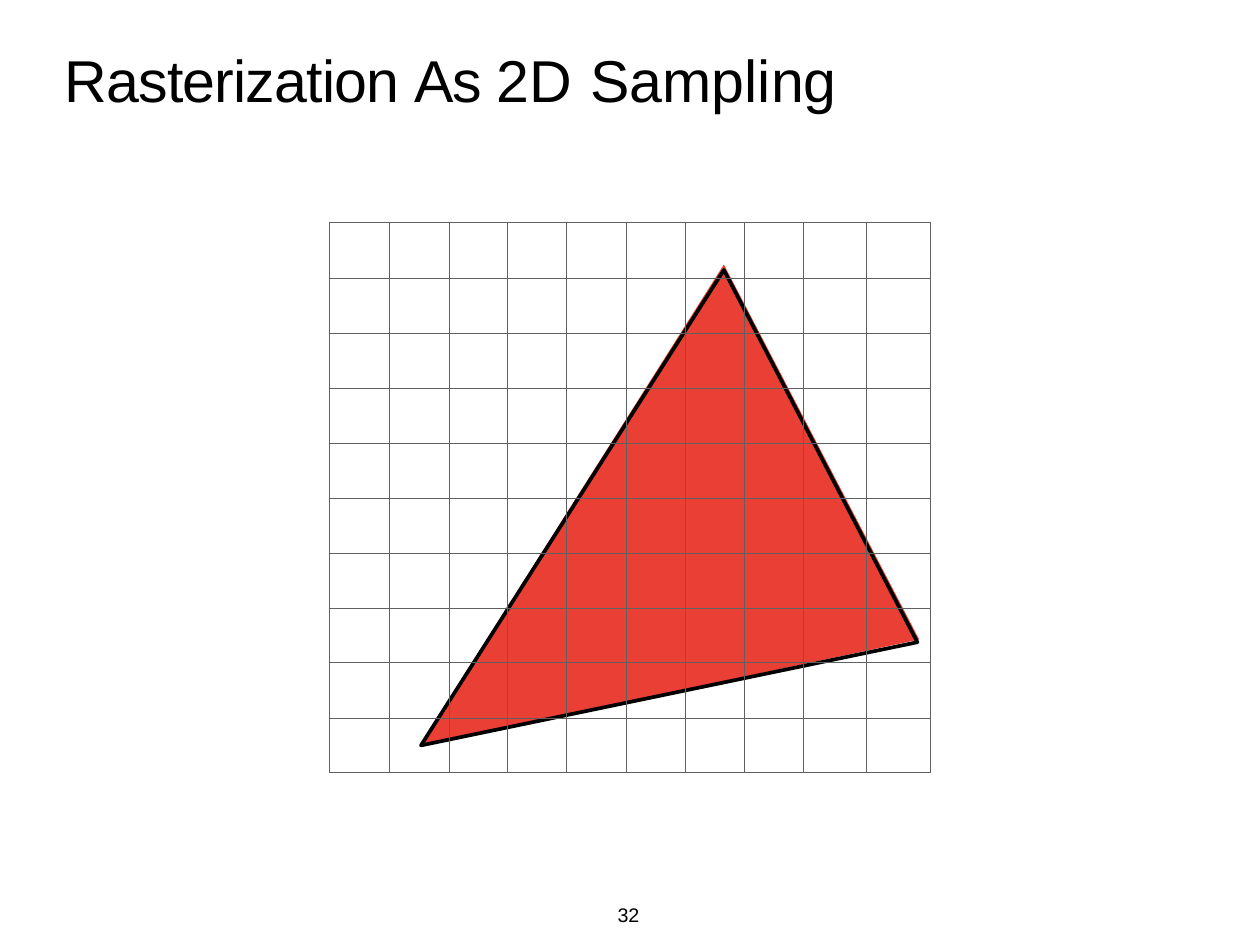
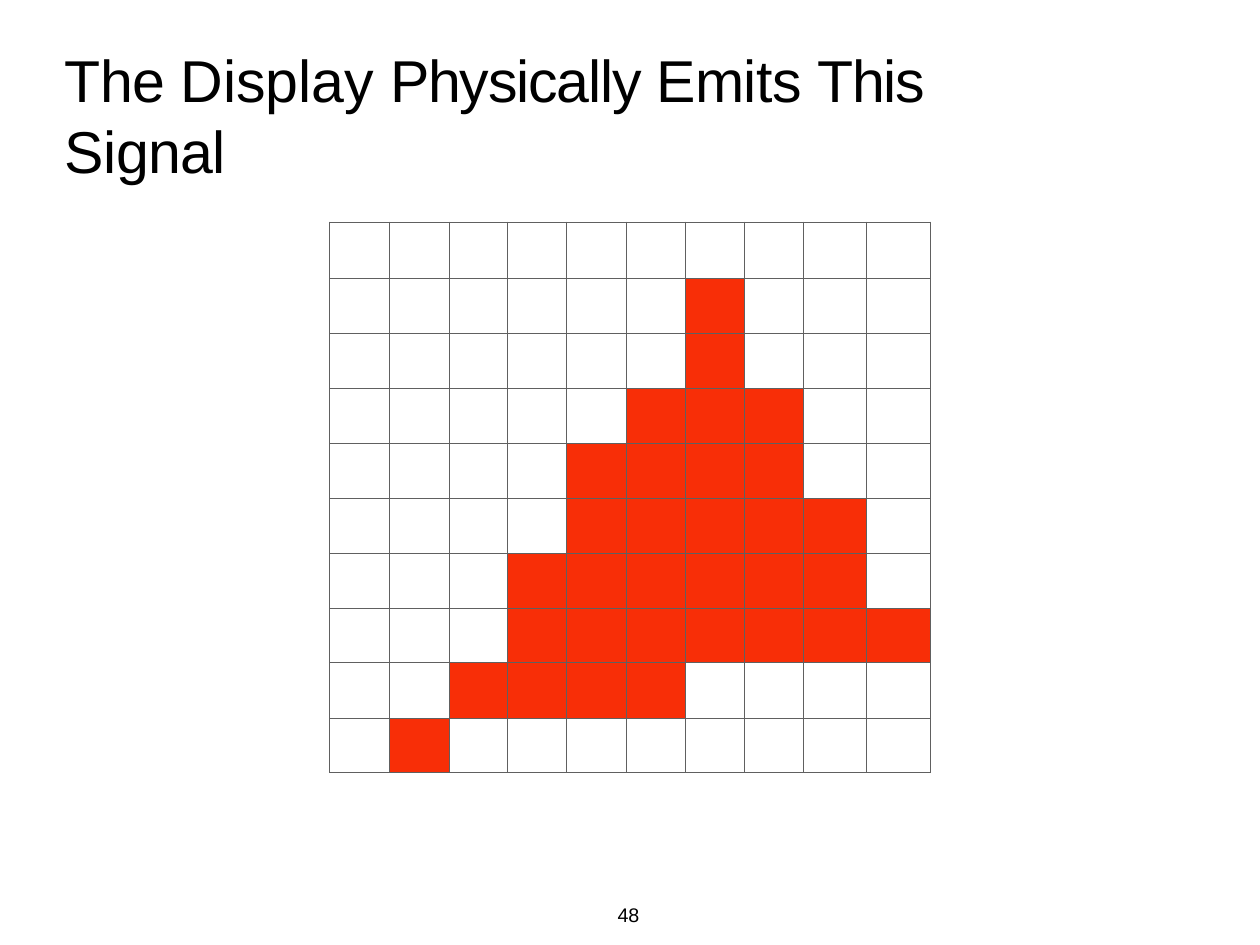
"""Build two slides on rasterization: a triangle on a pixel grid and the pixels it lights."""

from dataclasses import dataclass
from typing import Any, NamedTuple

import lxml.etree
import pptx
import pptx.dml.color
import pptx.enum.text
import pptx.oxml.ns
import pptx.util

SLIDE_WIDTH = pptx.util.Inches(14.22)
SLIDE_HEIGHT = pptx.util.Inches(10.67)


class Point(NamedTuple):
    """A place on the pixel grid, in columns and rows."""

    column: float
    row: float


class Box(NamedTuple):
    """A frame, in percent of the slide's size."""

    left: float
    top: float
    width: float
    height: float


class Word(NamedTuple):
    """A piece of text and its letter spacing in points."""

    text: str
    spacing: float


class Span(NamedTuple):
    """A run of lit pixels in one grid row, both ends included."""

    row: int
    first: int
    last: int


@dataclass(frozen=True)
class Theme:
    """Colours and type sizes of the deck."""

    font: str = "Arial"
    ink: str = "000000"
    grid_line: str = "606060"
    triangle: str = "E93F34"
    pixel: str = "F82E07"
    title_size: float = 48
    number_size: float = 16
    grid_weight: float = 1
    outline_weight: float = 3


@dataclass(frozen=True)
class PixelGrid:
    """Origin and pitch in percent of the slide, column and row sizes in pitches."""

    left: float = 26.16
    top: float = 23.52
    column_pitch: float = 4.77
    row_pitch: float = 5.81
    columns: tuple[float, ...] = (1, 0.99, 0.97, 0.99, 0.99, 0.99, 0.97, 0.99, 1.05, 1.06)
    rows: tuple[float, ...] = (1.03, 1, 1, 1, 1, 1, 1, 1, 1.01, 0.98)


@dataclass(frozen=True)
class Page:
    """The content of one slide."""

    title: tuple[Word, ...]
    title_width: float
    number: str
    has_triangle: bool = False
    lit: tuple[Span, ...] = ()


THEME = Theme()
GRID = PixelGrid()
NUMBER_BOX = Box(47.61, 95.31, 3.45, 2.81)
TRIANGLE_AREA = (Point(6.56, 0.77), Point(1.5, 9.53), Point(9.81, 7.6))
TRIANGLE_OUTLINE = (Point(6.56, 0.87), Point(9.78, 7.65), Point(1.52, 9.53))

PAGES = (
    Page(
        title=(
            Word("Rasterization ", -0.7),
            Word("As ", -1.4),
            Word("2D ", 0.4),
            Word("Sampling", 0.1),
        ),
        title_width=61.6,
        number="32",
        has_triangle=True,
    ),
    Page(
        title=(
            Word("The ", -0.6),
            Word("Display ", -0.1),
            Word("Physically ", -1),
            Word("Emits ", -0.6),
            Word("This ", -1.1),
            Word("Signal", -0.5),
        ),
        title_width=80.87,
        number="48",
        lit=(
            Span(1, 6, 6),
            Span(2, 6, 6),
            Span(3, 5, 7),
            Span(4, 4, 7),
            Span(5, 4, 8),
            Span(6, 3, 8),
            Span(7, 3, 9),
            Span(8, 2, 5),
            Span(9, 1, 1),
        ),
    ),
)


def across(percent: float) -> int:
    """Turn a percentage of the slide's width into a length."""
    return round(SLIDE_WIDTH * percent / 100)


def down(percent: float) -> int:
    """Turn a percentage of the slide's height into a length."""
    return round(SLIDE_HEIGHT * percent / 100)


def colour(value: str) -> pptx.dml.color.RGBColor:
    """Turn a hex value into a colour."""
    return pptx.dml.color.RGBColor.from_string(value)


def apply_format(target: Any, values: dict[str, Any]) -> None:
    """Set each named attribute on the target."""
    for attribute, value in values.items():
        setattr(target, attribute, value)


def place(box: Box) -> dict[str, int]:
    """Give a frame as position and size attributes."""
    return {
        "left": across(box.left),
        "top": down(box.top),
        "width": across(box.width),
        "height": down(box.height),
    }


def write_words(holder: Any, words: tuple[Word, ...], size: float, indent: float) -> None:
    """Fill a text holder with one left-aligned line of spaced words."""
    frame = holder.text_frame
    apply_format(frame, {
        "margin_left": 0,
        "margin_top": pptx.util.Inches(0.02),
        "margin_right": 0,
        "margin_bottom": 0,
        "word_wrap": True,
        "vertical_anchor": pptx.enum.text.MSO_ANCHOR.TOP,
        "auto_size": pptx.enum.text.MSO_AUTO_SIZE.SHAPE_TO_FIT_TEXT,
    })
    line = frame.paragraphs[0]
    line.alignment = pptx.enum.text.PP_ALIGN.LEFT
    line._p.get_or_add_pPr().set("marL", str(across(indent)))
    for word in words:
        run = line.add_run()
        run.text = word.text
        apply_format(run.font, {"name": THEME.font, "size": pptx.util.Pt(size)})
        run.font.color.rgb = colour(THEME.ink)
        run._r.get_or_add_rPr().set("spc", str(round(word.spacing * 100)))


def add_outline(shapes: Any, corners: tuple[Point, ...]) -> Any:
    """Draw a closed outline through grid points."""
    places = [
        (
            across(GRID.left + corner.column * GRID.column_pitch),
            down(GRID.top + corner.row * GRID.row_pitch),
        )
        for corner in corners
    ]
    builder = shapes.build_freeform(*places[0])
    builder.add_line_segments(places[1:], close=True)
    outline = builder.convert_to_shape()
    outline.shadow.inherit = False
    return outline


def add_triangle(slide: Any) -> None:
    """Draw the filled triangle and its heavy edge as one group."""
    shapes = slide.shapes.add_group_shape().shapes
    area = add_outline(shapes, TRIANGLE_AREA)
    area.fill.solid()
    area.fill.fore_color.rgb = colour(THEME.triangle)
    area.line.fill.background()
    edge = add_outline(shapes, TRIANGLE_OUTLINE)
    edge.fill.background()
    edge.line.color.rgb = colour(THEME.ink)
    edge.line.width = pptx.util.Pt(THEME.outline_weight)


def add_borders(cell: Any) -> None:
    """Rule all four sides of a cell."""
    properties = cell._tc.get_or_add_tcPr()
    qn = pptx.oxml.ns.qn
    for side in ("a:lnL", "a:lnR", "a:lnT", "a:lnB"):
        rule = lxml.etree.SubElement(properties, qn(side))
        rule.set("w", str(pptx.util.Pt(THEME.grid_weight)))
        paint = lxml.etree.SubElement(rule, qn("a:solidFill"))
        lxml.etree.SubElement(paint, qn("a:srgbClr")).set("val", THEME.grid_line)


def add_pixel_grid(slide: Any, lit: tuple[Span, ...]) -> None:
    """Add the pixel table and colour its lit cells."""
    box = Box(
        GRID.left,
        GRID.top,
        sum(GRID.columns) * GRID.column_pitch,
        sum(GRID.rows) * GRID.row_pitch,
    )
    table = slide.shapes.add_table(len(GRID.rows), len(GRID.columns), **place(box)).table
    apply_format(table, {"first_row": False, "horz_banding": False})
    for column, share in zip(table.columns, GRID.columns):
        column.width = across(share * GRID.column_pitch)
    for row, share in zip(table.rows, GRID.rows):
        row.height = down(share * GRID.row_pitch)
    pixels = {(span.row, column) for span in lit for column in range(span.first, span.last + 1)}
    for row_index, row in enumerate(table.rows):
        for column_index, cell in enumerate(row.cells):
            add_borders(cell)
            if (row_index, column_index) in pixels:
                cell.fill.solid()
                cell.fill.fore_color.rgb = colour(THEME.pixel)
            else:
                cell.fill.background()


def add_page(deck: Any, page: Page) -> None:
    """Add one slide with its title, grid and number."""
    slide = deck.slides.add_slide(deck.slide_layouts[5])
    title = slide.shapes.title
    apply_format(title, place(Box(5.06, 4.4, page.title_width, 7.78)))
    write_words(title, page.title, THEME.title_size, 0.09)
    if page.has_triangle:
        add_triangle(slide)
    add_pixel_grid(slide, page.lit)
    number = slide.shapes.add_textbox(**place(NUMBER_BOX))
    write_words(number, (Word(page.number, -0.1),), THEME.number_size, 1.41)


def main() -> None:
    """Build and save the deck."""
    deck = pptx.Presentation()
    apply_format(deck, {"slide_width": SLIDE_WIDTH, "slide_height": SLIDE_HEIGHT})
    for page in PAGES:
        add_page(deck, page)
    deck.save("out.pptx")


if __name__ == "__main__":
    main()
